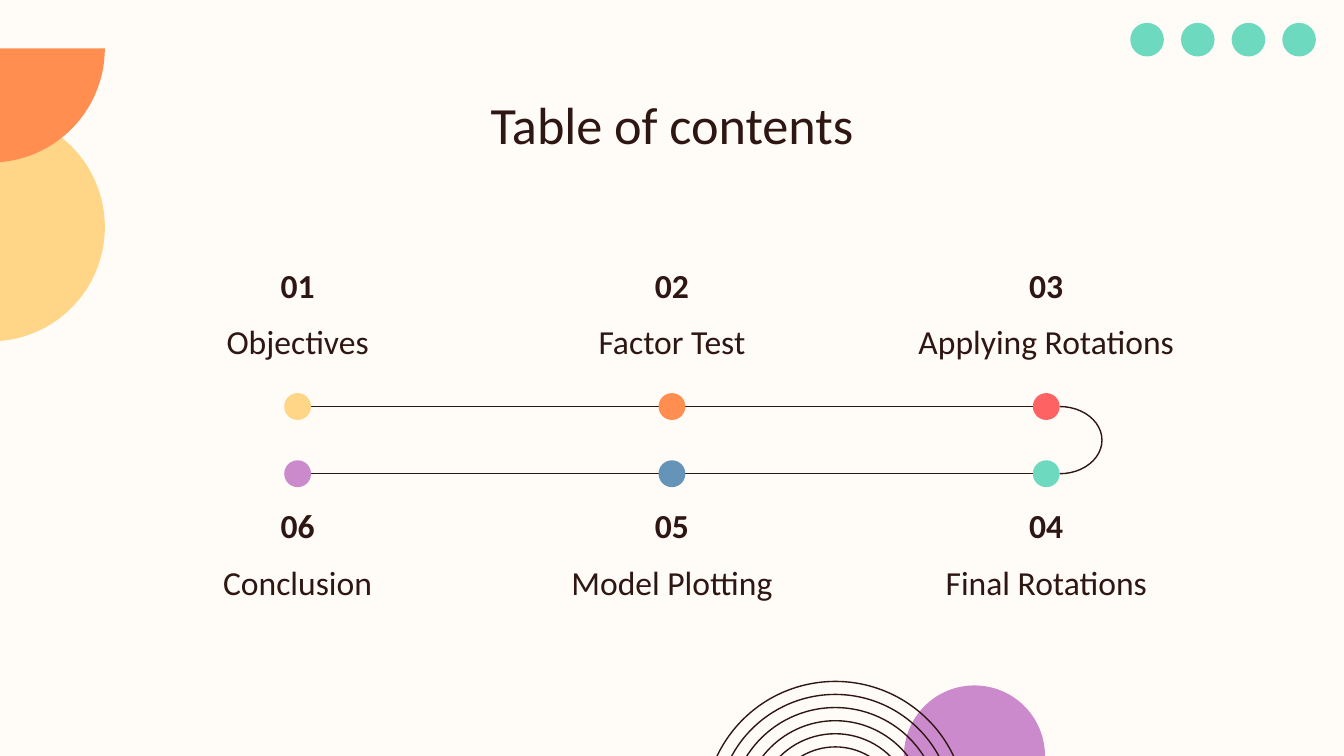
from dataclasses import dataclass
from itertools import pairwise

from lxml import etree
from pptx import Presentation
from pptx.dml.color import RGBColor
from pptx.enum.shapes import MSO_CONNECTOR, MSO_SHAPE
from pptx.enum.text import MSO_ANCHOR, PP_ALIGN
from pptx.oxml.ns import qn
from pptx.shapes.autoshape import Shape
from pptx.slide import Slide
from pptx.util import Inches, Pt

CREAM = RGBColor(0xFF, 0xFB, 0xF7)
BROWN = RGBColor(0x2E, 0x16, 0x12)
MINT = RGBColor(0x6D, 0xD9, 0xBF)
YELLOW = RGBColor(0xFF, 0xD6, 0x88)
ORANGE = RGBColor(0xFF, 0x8E, 0x50)
RED = RGBColor(0xFF, 0x62, 0x62)
BLUE = RGBColor(0x66, 0x94, 0xB8)
PURPLE = RGBColor(0xCB, 0x8A, 0xCC)

FONT = "Calibri"
LINE_WIDTH = Pt(0.75)
SLIDE_WIDTH, SLIDE_HEIGHT = 10, 5.625
MIDDLE = SLIDE_WIDTH / 2
COLUMN_WIDTH = 2.785
TRACK_YS = (3.025, 3.525)
NUMBER_TOPS = (1.99, 3.78)
NUMBER_WIDTH, NUMBER_HEIGHT = 0.76, 0.38
LABEL_OFFSET, LABEL_HEIGHT = 0.3, 0.49
STOP_SIZE = 0.2
BEND_REACH = 0.315
RING_COUNT, RING_SIZE = 6, 1.95


@dataclass(frozen=True)
class Topic:
    number: str
    label: str
    column: int
    row: int
    color: RGBColor

    @property
    def x(self) -> float:
        return MIDDLE + (self.column - 1) * COLUMN_WIDTH

    @property
    def y(self) -> float:
        return TRACK_YS[self.row]


TOPICS = (
    Topic("01", "Objectives", 0, 0, YELLOW),
    Topic("02", "Factor Test", 1, 0, ORANGE),
    Topic("03", "Applying Rotations", 2, 0, RED),
    Topic("04", "Final Rotations", 2, 1, MINT),
    Topic("05", "Model Plotting", 1, 1, BLUE),
    Topic("06", "Conclusion", 0, 1, PURPLE),
)


def add_centered(slide: Slide, preset: MSO_SHAPE, x: float, y: float,
                 width: float, height: float, fill: RGBColor | None = None) -> Shape:
    """Add a shape centred on (x, y): filled, or outlined when no fill is given."""
    shape = slide.shapes.add_shape(preset, Inches(x - width / 2), Inches(y - height / 2),
                                   Inches(width), Inches(height))
    shape.shadow.inherit = False
    if fill is None:
        shape.fill.background()
        shape.line.color.rgb = BROWN
        shape.line.width = LINE_WIDTH
    else:
        shape.fill.solid()
        shape.fill.fore_color.rgb = fill
        shape.line.fill.background()
    return shape


def add_circle(slide: Slide, x: float, y: float, size: float,
               fill: RGBColor | None = None) -> Shape:
    return add_centered(slide, MSO_SHAPE.OVAL, x, y, size, size, fill)


def add_text(slide: Slide, text: str, x: float, top: float, width: float, height: float,
             size: int = 18, bold: bool = False,
             anchor: MSO_ANCHOR = MSO_ANCHOR.TOP) -> None:
    """Add one centred line of text in a box whose middle is at x."""
    box = slide.shapes.add_textbox(Inches(x - width / 2), Inches(top),
                                   Inches(width), Inches(height))
    frame = box.text_frame
    frame.word_wrap = True
    frame.vertical_anchor = anchor
    frame.margin_left = frame.margin_right = Inches(0.1)
    frame.margin_top = frame.margin_bottom = Inches(0.1)
    paragraph = frame.paragraphs[0]
    paragraph.alignment = PP_ALIGN.CENTER
    run = paragraph.add_run()
    run.text = text
    run.font.name = FONT
    run.font.size = Pt(size)
    run.font.bold = bold
    run.font.color.rgb = BROWN


def add_decoration(slide: Slide) -> None:
    for index in range(4):
        add_circle(slide, 8.535 + index * 0.377, 0.295, 0.25, MINT)
    add_circle(slide, -0.07, 1.69, 1.7, YELLOW)
    half_disc = add_centered(slide, MSO_SHAPE.PIE, -0.07, 0.36, 1.7, 1.7, ORANGE)
    half_disc.adjustments[0] = 0
    half_disc.adjustments[1] = 108.4
    add_circle(slide, 7.25, 5.625, 1.05, PURPLE)
    for index in range(RING_COUNT):
        add_circle(slide, 6.215, 6.045, RING_SIZE * (1 - index / 10))


def add_track(slide: Slide, start: Topic, end: Topic) -> None:
    """Join two topics: a straight line along a row, a bend between rows."""
    if start.row != end.row:
        bend = add_centered(slide, MSO_SHAPE.ARC, start.x + STOP_SIZE / 2,
                            (start.y + end.y) / 2, 2 * BEND_REACH, end.y - start.y)
        bend.adjustments[0] = 162
        bend.adjustments[1] = 54
        return
    inset = STOP_SIZE / 2 if end.x > start.x else -STOP_SIZE / 2
    line = slide.shapes.add_connector(MSO_CONNECTOR.STRAIGHT,
                                      Inches(start.x + inset), Inches(start.y),
                                      Inches(end.x - inset), Inches(end.y))
    line.line.color.rgb = BROWN
    line.line.width = LINE_WIDTH
    etree.SubElement(line._element.spPr, qn("a:effectLst"))


def add_topic(slide: Slide, topic: Topic) -> None:
    top = NUMBER_TOPS[topic.row]
    add_text(slide, topic.number, topic.x, top, NUMBER_WIDTH, NUMBER_HEIGHT,
             bold=True, anchor=MSO_ANCHOR.BOTTOM)
    add_text(slide, topic.label, topic.x, top + LABEL_OFFSET, COLUMN_WIDTH, LABEL_HEIGHT)
    add_circle(slide, topic.x, topic.y, STOP_SIZE, topic.color)


def main() -> None:
    presentation = Presentation()
    presentation.slide_width = Inches(SLIDE_WIDTH)
    presentation.slide_height = Inches(SLIDE_HEIGHT)
    slide = presentation.slides.add_slide(presentation.slide_layouts[6])
    slide.background.fill.solid()
    slide.background.fill.fore_color.rgb = CREAM

    add_decoration(slide)
    add_text(slide, "Table of contents", MIDDLE, 0.59, 8.43, 0.63, size=28)
    for start, end in pairwise(TOPICS):
        add_track(slide, start, end)
    for topic in TOPICS:
        add_topic(slide, topic)
    presentation.save("out.pptx")


if __name__ == "__main__":
    main()
